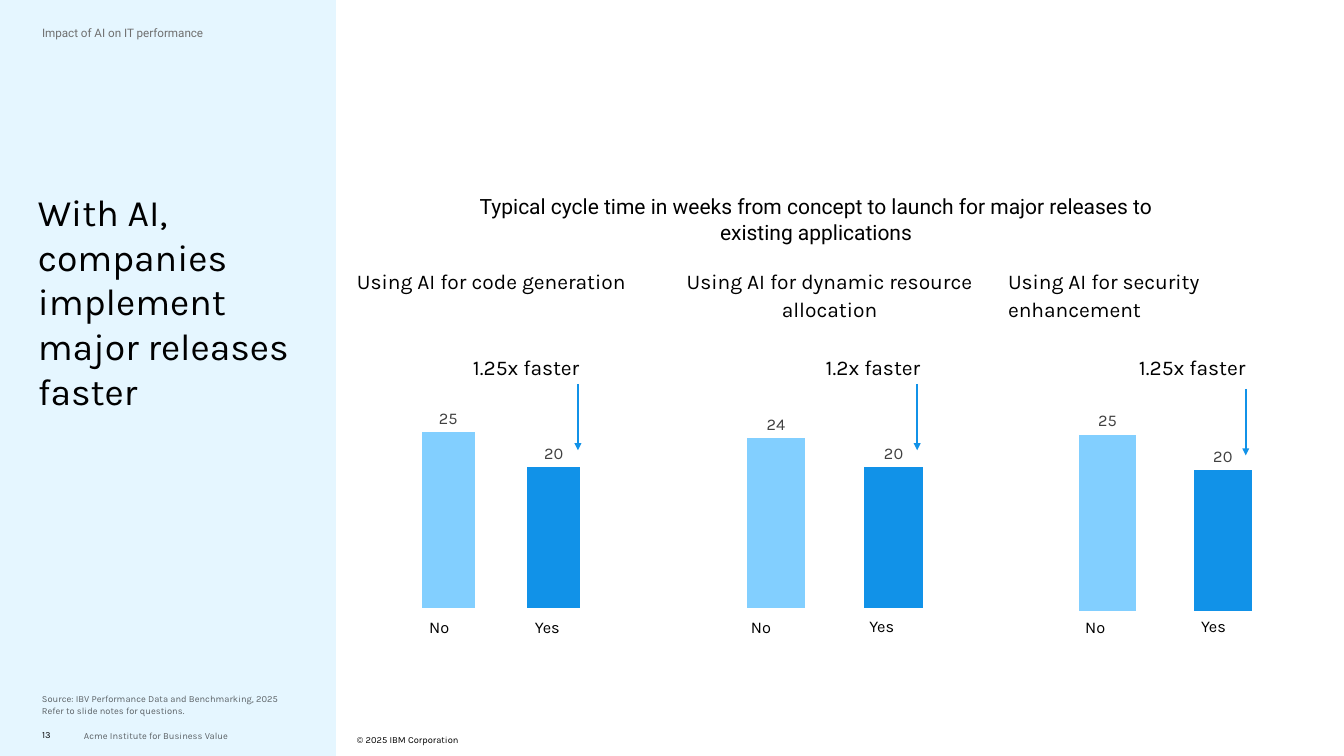
"""Build the slide on how AI shortens major release cycles."""
from lxml.etree import SubElement
from pptx import Presentation
from pptx.chart.data import CategoryChartData
from pptx.dml.color import RGBColor
from pptx.enum.chart import XL_CHART_TYPE, XL_LABEL_POSITION
from pptx.enum.shapes import MSO_CONNECTOR, MSO_SHAPE
from pptx.enum.text import MSO_ANCHOR, PP_ALIGN
from pptx.oxml import parse_xml
from pptx.oxml.ns import nsdecls, qn
from pptx.util import Pt

BLACK, MUTED, GREY, LABEL = "000000", "5C6266", "6F6F6F", "404040"
PANEL, NO_BLUE, YES_BLUE = "E5F6FF", "82CFFF", "1192E8"

TEXTS = [
    ("© 2025 IBM Corporation", (306, 625.7, 180, 17.3),
     dict(size=8, anchor=MSO_ANCHOR.MIDDLE)),
    ("Acme Institute for Business Value", (72, 622, 180, 17.3),
     dict(size=8, color=MUTED, anchor=MSO_ANCHOR.MIDDLE)),
    ("13", (36, 621.4, 26, 17.3), dict(size=8, anchor=MSO_ANCHOR.MIDDLE)),
    ("With AI, companies implement major releases faster",
     (32.4, 162, 237.6, 288), dict(size=32)),
    ("Impact of AI on IT performance", (36, 20.9, 234, 64.8),
     dict(size=10, font="Roboto", color=GREY, spacing=1.1)),
    ("Source: IBV Performance Data and Benchmarking, 2025\n"
     "Refer to slide notes for questions.", (36, 576, 237.6, 38.2),
     dict(size=8, color=MUTED, spacing=1.1, anchor=MSO_ANCHOR.BOTTOM)),
    ("Typical cycle time in weeks from concept to launch for major releases "
     "to existing applications", (401.8, 162.7, 595.4, 51.1),
     dict(font="Roboto", align=PP_ALIGN.CENTER, inset=(7.2, 3.6))),
]

USES = [
    dict(heading="Using AI for code generation", heading_at=(306, 252),
         align=PP_ALIGN.LEFT, weeks=(25, 20), chart_at=(274.3, 334.1),
         plot=(0.21, 0.031, 0.585, 0.902),
         answers=[("No", 360.7, 525.6), ("Yes", 451.4, 525.6)],
         gain="1.25x faster", gain_left=405.4, arrow=(495.4, 329)),
    dict(heading="Using AI for dynamic resource allocation",
         heading_at=(576, 270), align=PP_ALIGN.CENTER, weeks=(24, 20),
         chart_at=(555.8, 333.4), plot=(0.191, 0.031, 0.653, 0.902),
         answers=[("No", 636.5, 525.6), ("Yes", 738, 524.2)],
         gain="1.2x faster", gain_left=707.8, arrow=(786.2, 329)),
    dict(heading="Using AI for security enhancement", heading_at=(864, 270),
         align=PP_ALIGN.LEFT, weeks=(25, 20), chart_at=(841, 334.1),
         plot=(0.191, 0.041, 0.64, 0.902),
         answers=[("No", 923, 525.6), ("Yes", 1022.4, 524.2)],
         gain="1.25x faster", gain_left=976.3, arrow=(1067.8, 333.4)),
]
CHART_SIZE = (308.9, 200.9)
ARROW_LENGTH = 56.9


def paint(color_format, hex_color):
    color_format.rgb = RGBColor.from_string(hex_color)


def points(values):
    return [Pt(value) for value in values]


def add_text(slide, text, box, size=18, font="Karla", color=BLACK,
             align=PP_ALIGN.LEFT, anchor=MSO_ANCHOR.TOP, spacing=1.0,
             inset=(0, 0)):
    frame = slide.shapes.add_textbox(*points(box)).text_frame
    frame.word_wrap = True
    frame.vertical_anchor = anchor
    frame.margin_left = frame.margin_right = Pt(inset[0])
    frame.margin_top = frame.margin_bottom = Pt(inset[1])
    frame.text = text
    for paragraph in frame.paragraphs:
        paragraph.alignment = align
        paragraph.line_spacing = spacing
        paragraph.font.size = Pt(size)
        paragraph.font.name = font
        paint(paragraph.font.color, color)


def place_plot(chart, plot):
    area = chart._chartSpace.chart.plotArea
    for layout in area.findall(qn("c:layout")):
        area.remove(layout)
    places = "".join(f'<c:{tag} val="{value}"/>'
                     for tag, value in zip("xywh", plot))
    area.insert(0, parse_xml(
        f'<c:layout {nsdecls("c")}><c:manualLayout>'
        '<c:layoutTarget val="inner"/><c:xMode val="edge"/>'
        f'<c:yMode val="edge"/>{places}</c:manualLayout></c:layout>'))


def add_weeks_chart(slide, use):
    data = CategoryChartData()
    data.categories = ["1", "2"]
    data.add_series("Series 1", use["weeks"])
    chart = slide.shapes.add_chart(
        XL_CHART_TYPE.COLUMN_CLUSTERED,
        *points(use["chart_at"] + CHART_SIZE), data).chart
    chart.has_title = chart.has_legend = False
    chart.font.size = Pt(20)
    chart.font.name = "Karla"
    paint(chart.font.color, BLACK)
    chart.value_axis.has_major_gridlines = False
    chart.value_axis.minimum_scale = 0
    chart.value_axis.maximum_scale = 30
    chart.value_axis.visible = chart.category_axis.visible = False
    place_plot(chart, use["plot"])

    columns = chart.plots[0]
    columns.gap_width = 100
    columns.vary_by_categories = False
    for index, color in enumerate((NO_BLUE, YES_BLUE)):
        fill = columns.series[0].points[index].format.fill
        fill.solid()
        paint(fill.fore_color, color)
    columns.has_data_labels = True
    labels = columns.data_labels
    labels.show_value = True
    labels.position = XL_LABEL_POSITION.OUTSIDE_END
    labels.font.size = Pt(14)
    labels.font.name = "Karla"
    paint(labels.font.color, LABEL)


def add_arrow(slide, x, top):
    arrow = slide.shapes.add_connector(
        MSO_CONNECTOR.STRAIGHT, *points((x, top, x, top + ARROW_LENGTH)))
    arrow.line.width = Pt(1.5)
    paint(arrow.line.color, YES_BLUE)
    SubElement(arrow.line._get_or_add_ln(), qn("a:tailEnd"), type="triangle")
    SubElement(arrow._element.spPr, qn("a:effectLst"))


def main():
    deck = Presentation()
    deck.slide_width, deck.slide_height = Pt(1152), Pt(648)
    slide = deck.slides.add_slide(deck.slide_layouts[6])

    panel = slide.shapes.add_shape(MSO_SHAPE.RECTANGLE,
                                   *points((0, 0, 288, 648)))
    panel.shadow.inherit = False
    panel.fill.solid()
    paint(panel.fill.fore_color, PANEL)
    panel.line.fill.background()

    for text, box, style in TEXTS:
        add_text(slide, text, box, **style)

    for use in USES:
        left, width = use["heading_at"]
        add_text(slide, use["heading"], (left, 228.2, width, 50),
                 align=use["align"], spacing=1.1)
        add_weeks_chart(slide, use)
        for answer, answer_left, top in use["answers"]:
            add_text(slide, answer, (answer_left, top, 84, 24.5), size=14,
                     inset=(7.2, 3.6))
        add_text(slide, use["gain"], (use["gain_left"], 301.7, 103, 18),
                 spacing=1.1)
        add_arrow(slide, *use["arrow"])

    deck.save("out.pptx")


if __name__ == "__main__":
    main()
